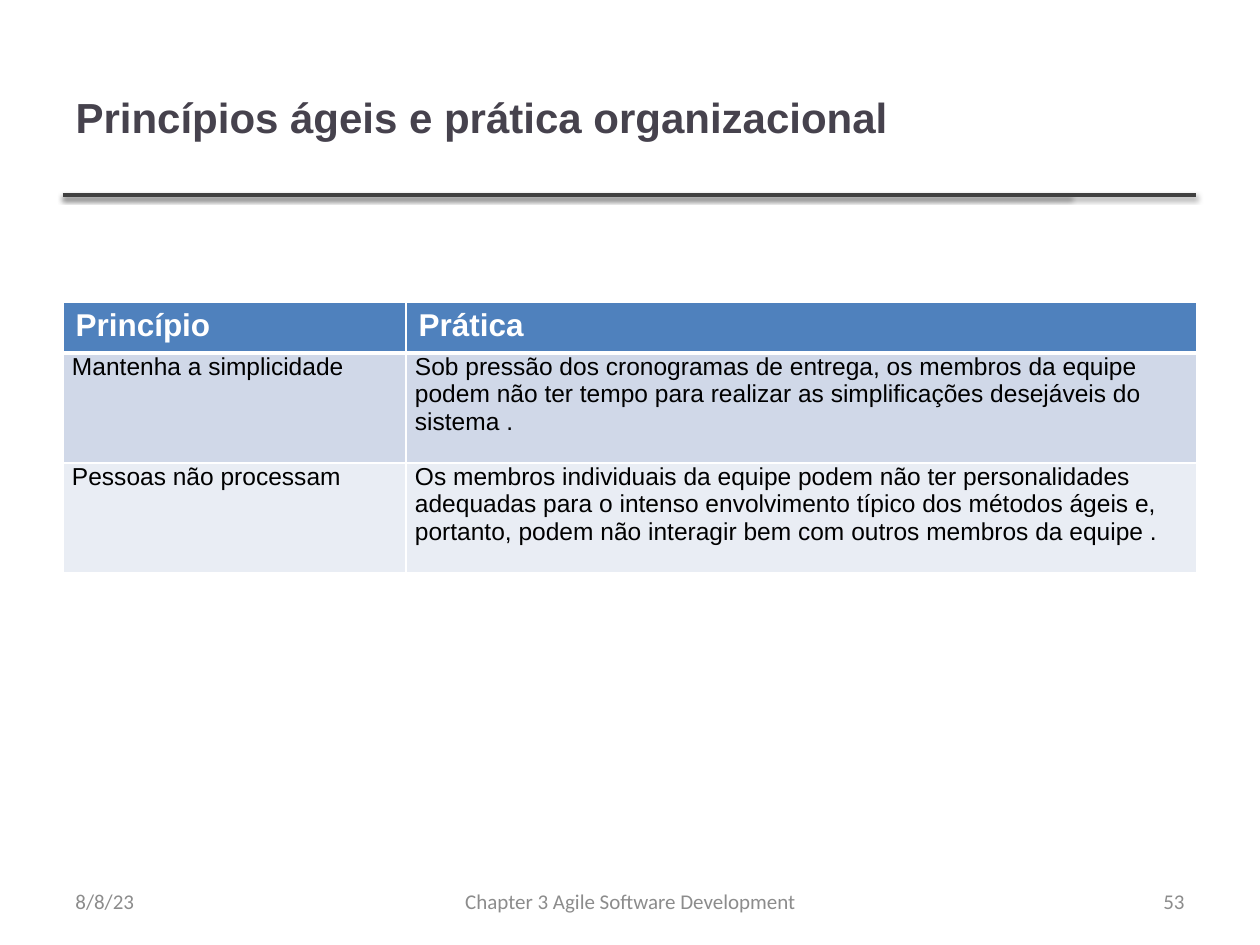
from lxml import etree
from pptx import Presentation
from pptx.dml.color import RGBColor
from pptx.enum.shapes import MSO_CONNECTOR
from pptx.enum.text import MSO_ANCHOR, PP_ALIGN
from pptx.oxml.ns import qn
from pptx.util import Emu, Pt

PX = 914400 // 126
STRAIGHT = MSO_CONNECTOR.STRAIGHT
MIDDLE = MSO_ANCHOR.MIDDLE
LEFT, CENTER, RIGHT = PP_ALIGN.LEFT, PP_ALIGN.CENTER, PP_ALIGN.RIGHT

MARGIN = 63
RULE_TOP = 195
FOOTER_TOP, FOOTER_HEIGHT = 876, 50
COLUMN_WIDTHS = [343, 791]
ROW_HEIGHTS = [51, 110, 110]
ROW_FILLS = ["4F81BD", "D0D8E8", "E9EDF4"]
TABLE_ROWS = [
    ("Princípio", "Prática"),
    ("Mantenha a simplicidade",
     "Sob pressão dos cronogramas de entrega, os membros da equipe podem não ter "
     "tempo para realizar as simplificações desejáveis do sistema ."),
    ("Pessoas não processam",
     "Os membros individuais da equipe podem não ter personalidades adequadas para "
     "o intenso envolvimento típico dos métodos ágeis e, portanto, podem não "
     "interagir bem com outros membros da equipe ."),
]
FOOTERS = [
    ("8/8/23", MARGIN, 294, LEFT),
    ("Chapter 3 Agile Software Development", 431, 399, CENTER),
    ("53", 903, 294, RIGHT),
]


def px(length):
    return Emu(length * PX)


def color(hex_value):
    return RGBColor.from_string(hex_value)


def write_text(frame, text, size, hex_color, font="Arial", bold=False, align=LEFT):
    frame.word_wrap = True
    paragraph = frame.paragraphs[0]
    paragraph.alignment = align
    run = paragraph.add_run()
    run.text = text
    run.font.name = font
    run.font.size = Pt(size)
    run.font.bold = bold
    run.font.color.rgb = color(hex_color)


def add_title(slide, text):
    title = slide.shapes.title
    title.left, title.top, title.width, title.height = map(px, (MARGIN, 38, 1006, 157))
    title.text_frame.vertical_anchor = MIDDLE
    write_text(title.text_frame, text, 24, "46424D", bold=True)


def add_rule(slide, right):
    rule = slide.shapes.add_connector(
        STRAIGHT, px(MARGIN), px(RULE_TOP), px(right), px(RULE_TOP))
    rule.line.color.rgb = color("404040")
    rule.line.width = Pt(2)
    effects = etree.SubElement(rule._element.spPr, qn("a:effectLst"))
    shadow = etree.SubElement(effects, qn("a:outerShdw"), blurRad="40000",
                              dist="20000", dir="5400000", rotWithShape="0")
    black = etree.SubElement(shadow, qn("a:srgbClr"), val="000000")
    etree.SubElement(black, qn("a:alpha"), val="38000")


def set_borders(cell, top, bottom):
    properties = cell._tc.get_or_add_tcPr()
    for side, width in (("L", 1), ("R", 1), ("T", top), ("B", bottom)):
        border = etree.SubElement(properties, qn(f"a:ln{side}"), w=str(Pt(width)))
        fill = etree.SubElement(border, qn("a:solidFill"))
        etree.SubElement(fill, qn("a:srgbClr"), val="FFFFFF")


def fill_cell(cell, text, row_index):
    header = row_index == 0
    set_borders(cell, top=3 if row_index == 1 else 1, bottom=3 if header else 1)
    cell.fill.solid()
    cell.fill.fore_color.rgb = color(ROW_FILLS[row_index])
    if header:
        write_text(cell.text_frame, text, 18, "FFFFFF", bold=True)
    else:
        cell.margin_left = cell.margin_right = px(9)
        cell.margin_top = cell.margin_bottom = 0
        write_text(cell.text_frame, text, 14, "000000")


def add_principles_table(slide):
    table = slide.shapes.add_table(
        len(ROW_HEIGHTS), len(COLUMN_WIDTHS), px(MARGIN), px(302),
        px(sum(COLUMN_WIDTHS)), px(sum(ROW_HEIGHTS))).table
    for column, width in zip(table.columns, COLUMN_WIDTHS):
        column.width = px(width)
    for row_index, texts in enumerate(TABLE_ROWS):
        table.rows[row_index].height = px(ROW_HEIGHTS[row_index])
        for column_index, text in enumerate(texts):
            fill_cell(table.cell(row_index, column_index), text, row_index)


def add_footer(slide, text, left, width, align):
    box = slide.shapes.add_textbox(px(left), px(FOOTER_TOP), px(width), px(FOOTER_HEIGHT))
    box.text_frame.vertical_anchor = MIDDLE
    write_text(box.text_frame, text, 12, "8C8C8C", font="Calibri", align=align)


def main():
    presentation = Presentation()
    presentation.slide_width, presentation.slide_height = px(1260), px(945)
    slide = presentation.slides.add_slide(presentation.slide_layouts[5])
    for right in (1070, 1196):
        add_rule(slide, right)
    add_title(slide, "Princípios ágeis e prática organizacional")
    add_principles_table(slide)
    for footer in FOOTERS:
        add_footer(slide, *footer)
    presentation.save("out.pptx")


if __name__ == "__main__":
    main()
